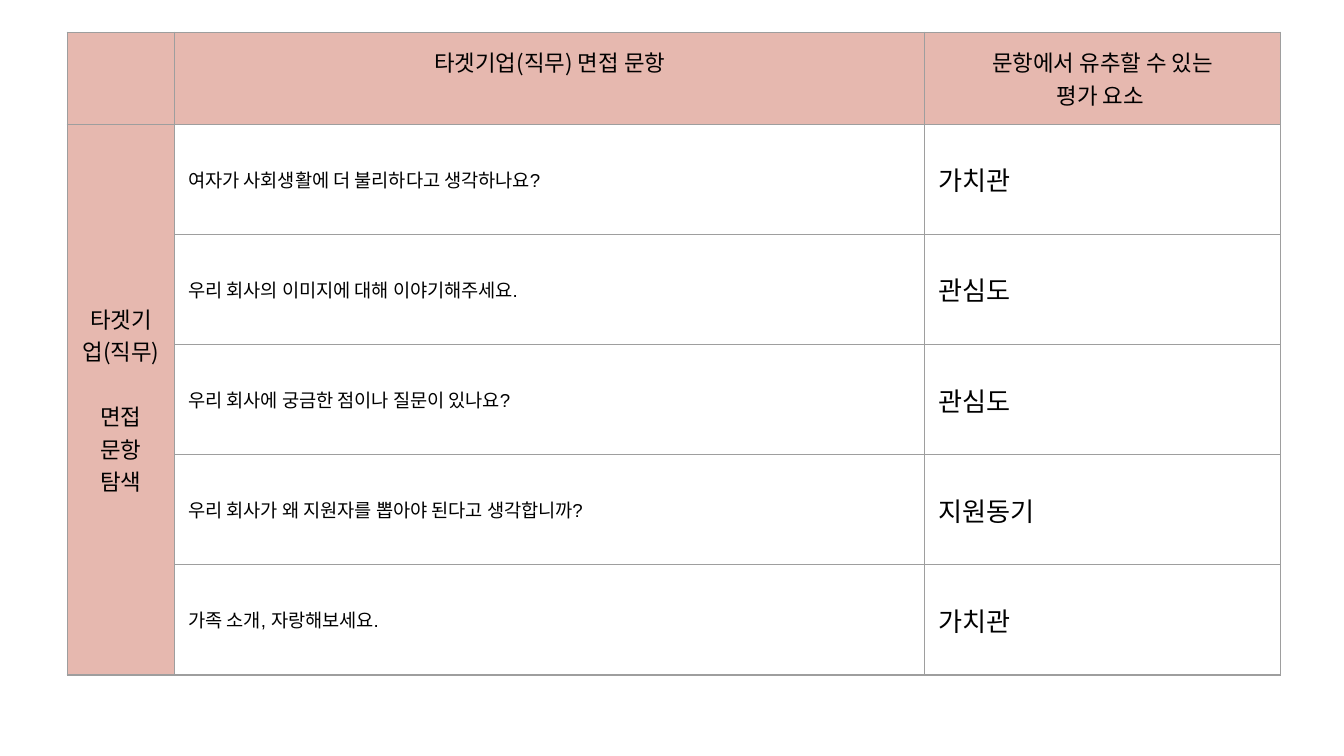
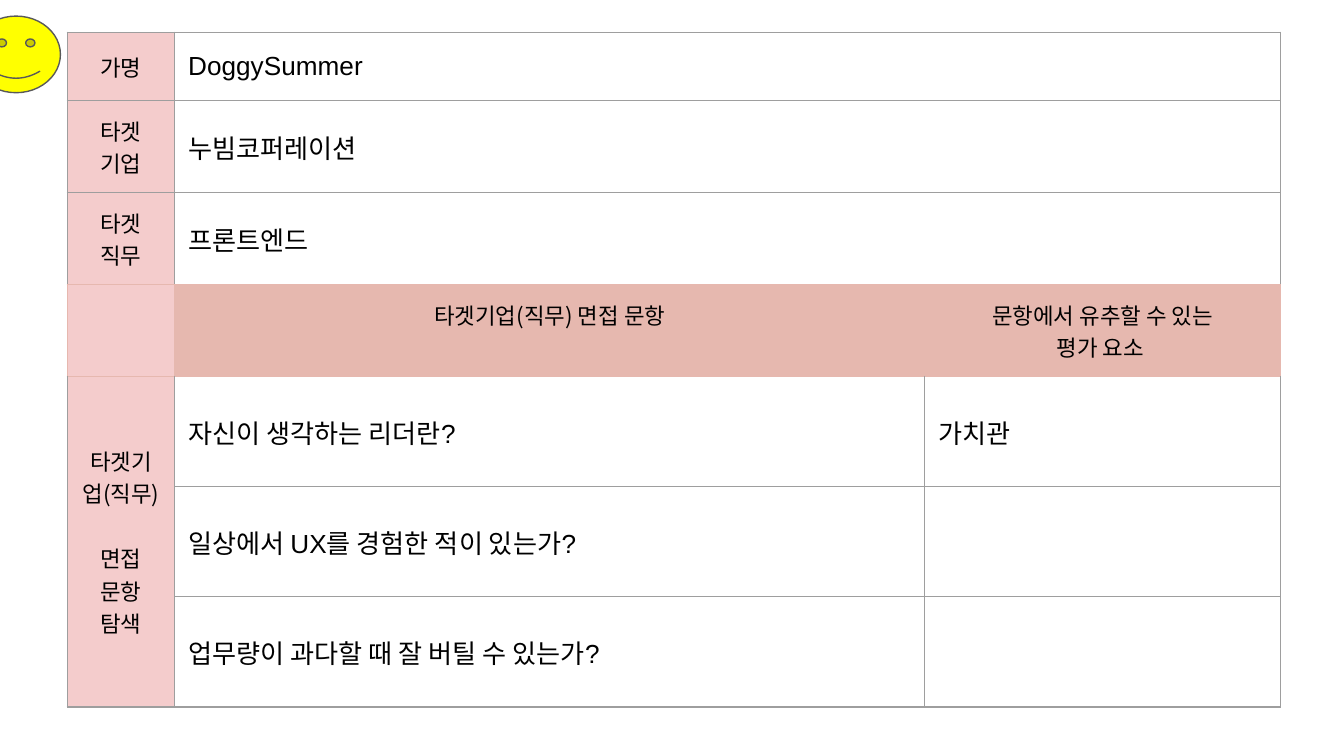
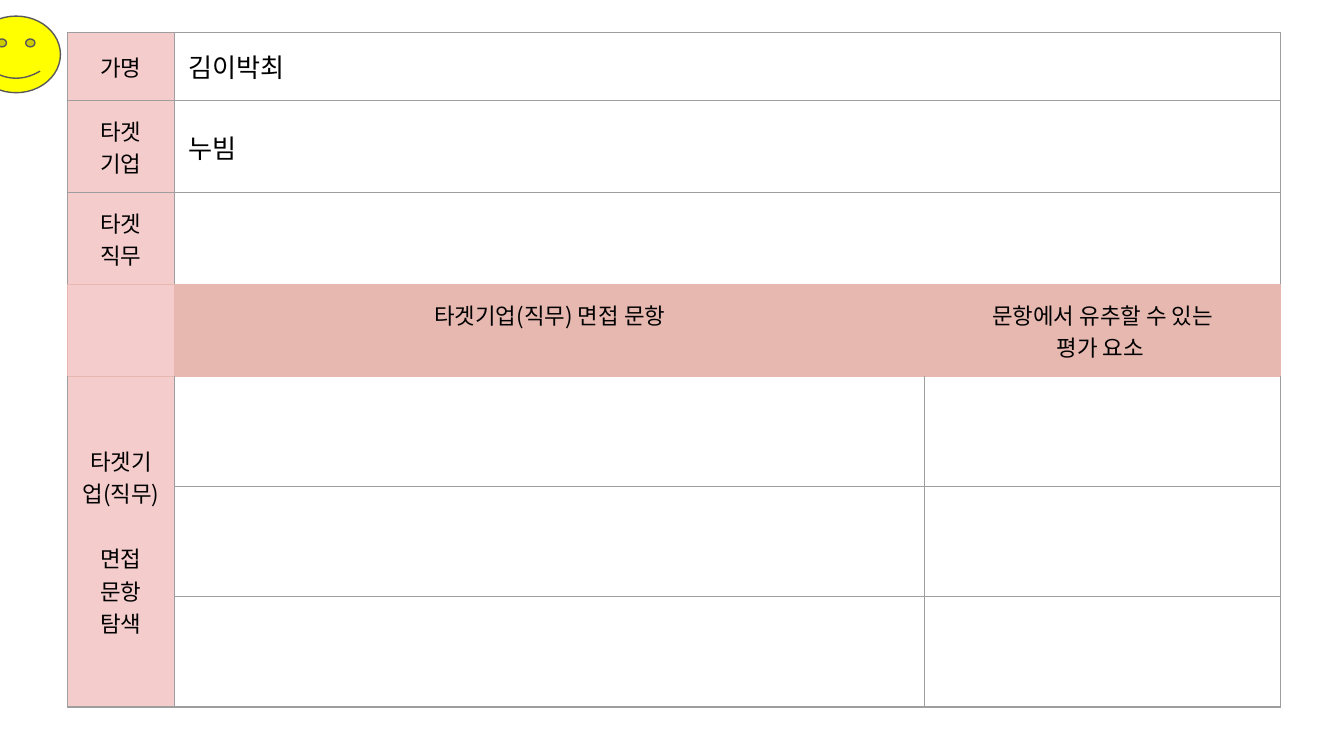
"""Build three interview question sheets as tables."""
from dataclasses import dataclass

from lxml import etree
from pptx import Presentation
from pptx.dml.color import RGBColor
from pptx.enum.shapes import MSO_SHAPE
from pptx.enum.text import MSO_ANCHOR, PP_ALIGN
from pptx.oxml.ns import qn
from pptx.util import Inches, Pt

SMILEY = MSO_SHAPE.SMILEY_FACE
TOP, MIDDLE = MSO_ANCHOR.TOP, MSO_ANCHOR.MIDDLE
LEFT, CENTER = PP_ALIGN.LEFT, PP_ALIGN.CENTER


@dataclass(frozen=True)
class Theme:
    """Colours, fonts and sizes shared by the sheets."""
    header: str = "E6B8AF"
    label: str = "F4CCCC"
    grid: str = "9E9E9E"
    text: str = "000000"
    face: str = "FFFF00"
    face_line: str = "595959"
    label_font: str = "Noto Sans CJK KR"
    body_font: str = "Arial"
    label_size: float = 12
    small_size: float = 10
    body_size: float = 14
    line: float = 0.75
    label_gap: float = 17.4


THEME = Theme()
SLIDE_WIDTH = Inches(10)
SLIDE_HEIGHT = SLIDE_WIDTH * 9 // 16
COLS = (0.8, 5.58, 2.65)
PROFILE_ROWS = (0.51, 0.68, 0.68)
PROFILE_LABELS = ("가명", "타겟 기업", "타겟 직무")
HEADER_ROW, ITEM_ROW = 0.68, 0.82
HEADERS = ("", "타겟기업(직무) 면접 문항", "문항에서 유추할 수 있는\n평가 요소 ")
SIDE_LABEL = "타겟기업(직무)\n면접\n문항 탐색"


@dataclass(frozen=True)
class Sheet:
    """Content and look of one question sheet."""
    items: tuple[tuple[str, str], ...]
    profile: tuple[str, ...] = ()
    label_fill: str = THEME.label
    header_line: str = THEME.header
    question_size: float = THEME.body_size


SHEETS = (
    Sheet(
        items=(
            ("여자가 사회생활에 더 불리하다고 생각하나요?", "가치관"),
            ("우리 회사의 이미지에 대해 이야기해주세요.", "관심도"),
            ("우리 회사에 궁금한 점이나 질문이 있나요?", "관심도"),
            ("우리 회사가 왜 지원자를 뽑아야 된다고 생각합니까?", "지원동기"),
            ("가족 소개, 자랑해보세요.", "가치관"),
        ),
        label_fill=THEME.header,
        header_line=THEME.grid,
        question_size=THEME.small_size,
    ),
    Sheet(
        items=(
            ("자신이 생각하는 리더란?", "가치관"),
            ("일상에서 UX를 경험한 적이 있는가?", ""),
            ("업무량이 과다할 때 잘 버틸 수 있는가?", ""),
        ),
        profile=("DoggySummer", "누빔코퍼레이션", "프론트엔드"),
    ),
    Sheet(items=(("", ""),) * 3, profile=("김이박최", "누빔", "")),
)


def set_text(cell, text: str, *, size: float = THEME.body_size,
             font: str = THEME.body_font, align=LEFT, anchor=MIDDLE) -> None:
    """Write one paragraph per line of text into a cell."""
    cell.vertical_anchor = anchor
    if not text:
        return
    tf = cell.text_frame
    for i, line in enumerate(text.split("\n")):
        p = tf.add_paragraph() if i else tf.paragraphs[0]
        p.alignment = align
        r = p.add_run()
        r.text = line
        r.font.size = Pt(size)
        r.font.color.rgb = RGBColor.from_string(THEME.text)
        r.font.name = font


def set_label(cell, text: str, anchor=MIDDLE) -> None:
    """Write a centred label into a cell."""
    set_text(cell, text, size=THEME.label_size, font=THEME.label_font,
             align=CENTER, anchor=anchor)


def set_borders(cell, top: str, bottom: str, sides: str) -> None:
    """Draw the four borders of a cell."""
    tc_pr = cell._tc.get_or_add_tcPr()
    for tag, color in (("lnL", sides), ("lnR", sides), ("lnT", top), ("lnB", bottom)):
        ln = etree.SubElement(tc_pr, qn(f"a:{tag}"), w=str(Pt(THEME.line)))
        fill = etree.SubElement(ln, qn("a:solidFill"))
        etree.SubElement(fill, qn("a:srgbClr"), val=color)


def style_cells(table, sheet: Sheet) -> None:
    """Set margins, borders and fills of every cell."""
    header = len(sheet.profile)
    for i, row in enumerate(table.rows):
        top = sheet.header_line if i in (header, header + 1) else THEME.grid
        bottom = sheet.header_line if i in (header - 1, header) else THEME.grid
        sides = sheet.header_line if i == header else THEME.grid
        for j, cell in enumerate(row.cells):
            cell.margin_left = cell.margin_right = Inches(0.1)
            cell.margin_top = cell.margin_bottom = Inches(0.1)
            set_borders(cell, top, bottom, sides)
            if j and i != header:
                cell.fill.background()
            else:
                cell.fill.solid()
                color = THEME.header if j else sheet.label_fill
                cell.fill.fore_color.rgb = RGBColor.from_string(color)


def add_sheet_table(slide, sheet: Sheet) -> None:
    """Add the table of a sheet to a slide."""
    header = len(sheet.profile)
    heights = PROFILE_ROWS[:header] + (HEADER_ROW,) + (ITEM_ROW,) * len(sheet.items)
    table = slide.shapes.add_table(
        len(heights), len(COLS), Inches(0.5), Inches(0.24),
        Inches(sum(COLS)), Inches(sum(heights))).table
    table.first_row = table.horz_banding = False
    for col, width in zip(table.columns, COLS):
        col.width = Inches(width)
    for row, height in zip(table.rows, heights):
        row.height = Inches(height)
    style_cells(table, sheet)

    for i, (label, value) in enumerate(zip(PROFILE_LABELS, sheet.profile)):
        table.cell(i, 1).merge(table.cell(i, 2))
        set_label(table.cell(i, 0), label)
        set_text(table.cell(i, 1), value)
    for j, text in enumerate(HEADERS):
        set_label(table.cell(header, j), text, anchor=TOP)
    side = table.cell(header + 1, 0)
    side.merge(table.cell(len(heights) - 1, 0))
    set_label(side, SIDE_LABEL)
    side.text_frame.paragraphs[1].space_before = Pt(THEME.label_gap)
    for i, (question, factor) in enumerate(sheet.items, header + 1):
        set_text(table.cell(i, 1), question, size=sheet.question_size)
        set_text(table.cell(i, 2), factor)


def add_smiley(slide) -> None:
    """Add the smiling face at the top left corner."""
    sp = slide.shapes.add_shape(SMILEY, Inches(-0.21), Inches(0.12),
                                Inches(0.66), Inches(0.57))
    sp.shadow.inherit = False
    sp.fill.solid()
    sp.fill.fore_color.rgb = RGBColor.from_string(THEME.face)
    sp.line.color.rgb = RGBColor.from_string(THEME.face_line)
    sp.line.width = Pt(THEME.line)


def main() -> None:
    """Build and save the presentation."""
    prs = Presentation()
    prs.slide_width, prs.slide_height = SLIDE_WIDTH, SLIDE_HEIGHT
    blank = prs.slide_layouts[6]
    for sheet in SHEETS:
        slide = prs.slides.add_slide(blank)
        add_sheet_table(slide, sheet)
        if sheet.profile:
            add_smiley(slide)
    prs.save("out.pptx")


if __name__ == "__main__":
    main()
